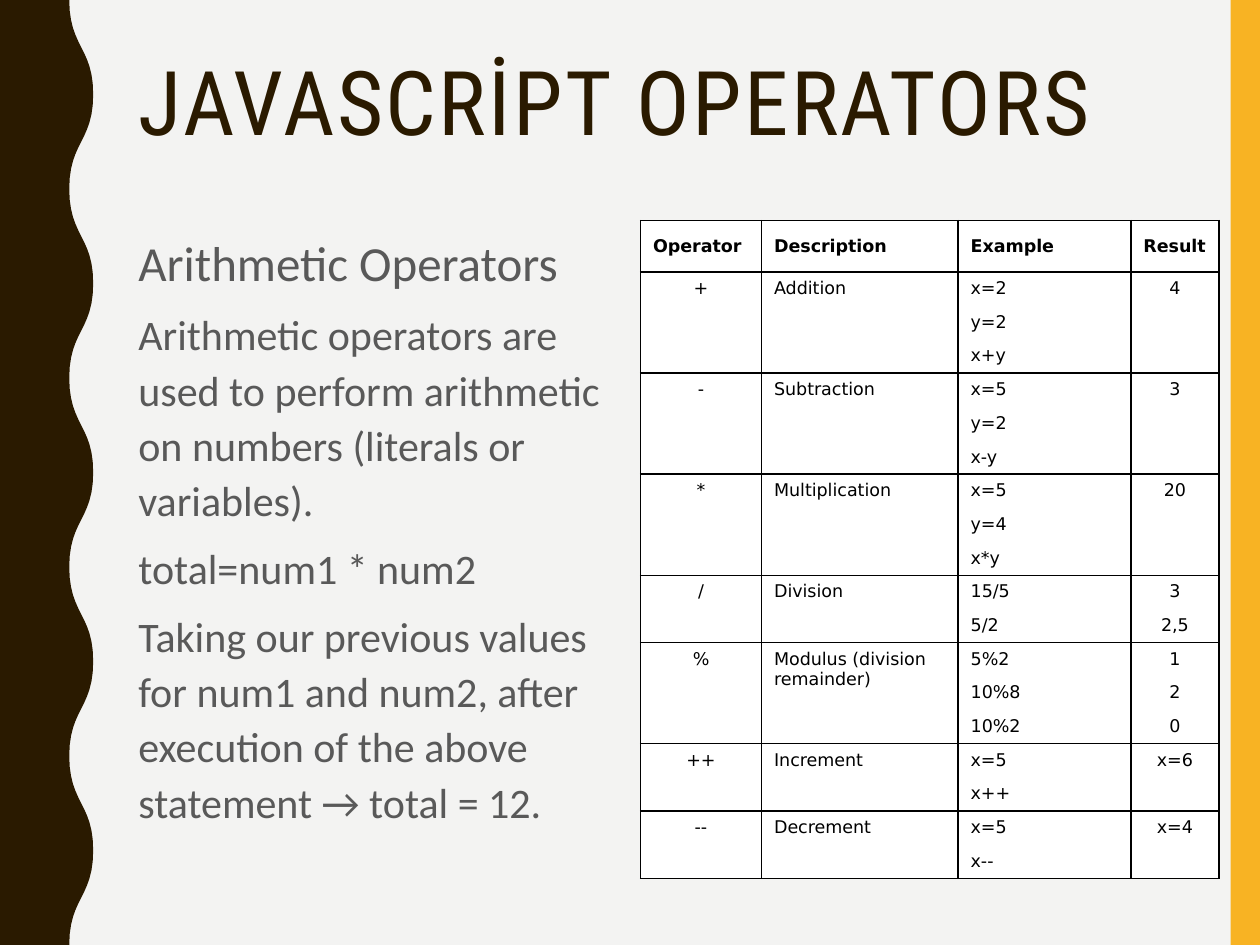
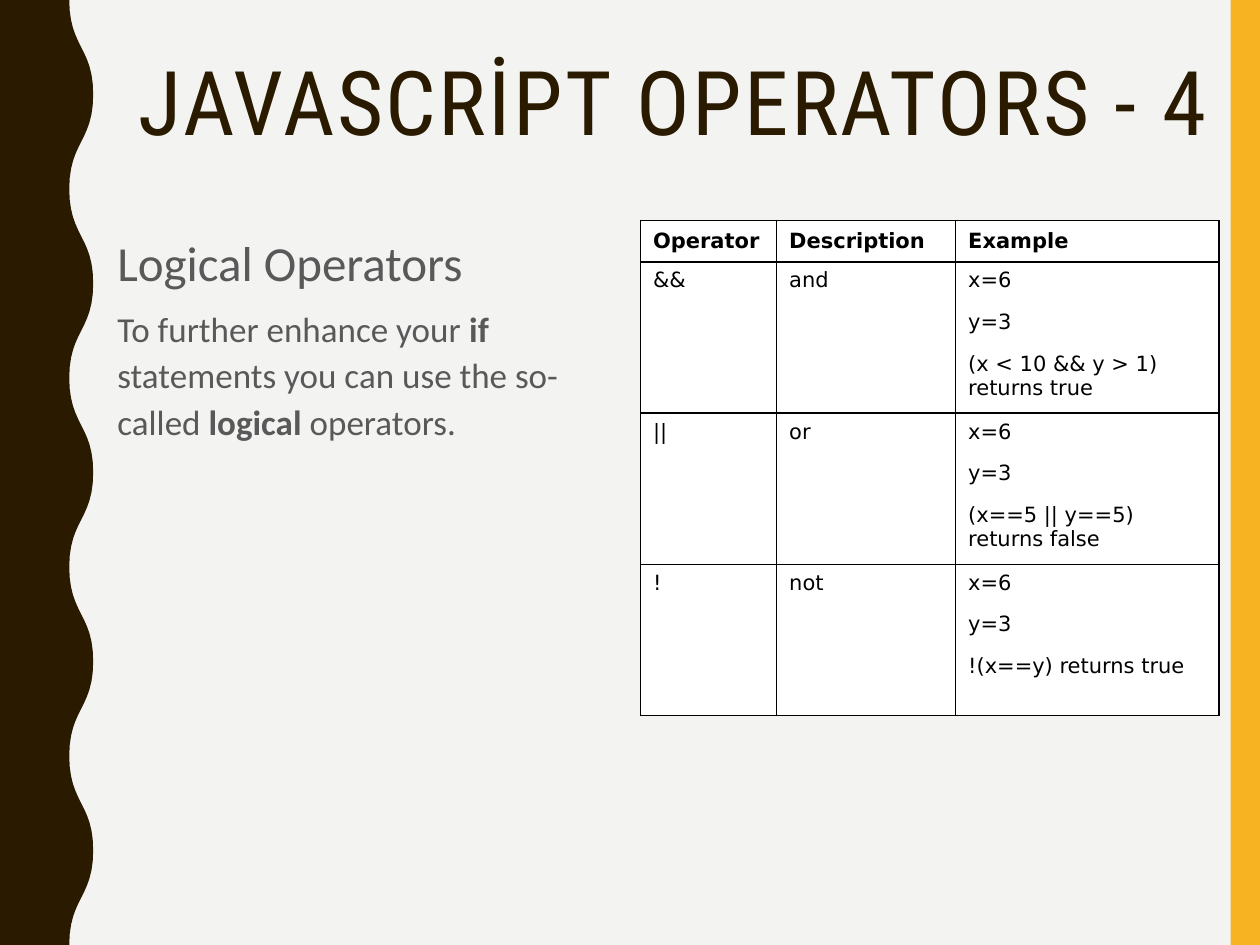
from dataclasses import dataclass
from itertools import cycle, islice

from lxml.etree import SubElement
from pptx import Presentation
from pptx.dml.color import RGBColor
from pptx.enum.lang import MSO_LANGUAGE_ID
from pptx.enum.shapes import MSO_SHAPE
from pptx.enum.text import MSO_ANCHOR, MSO_AUTO_SIZE, PP_ALIGN
from pptx.oxml.ns import qn
from pptx.util import Inches, Pt

PAPER = RGBColor(0xF3, 0xF3, 0xF2)
BROWN = RGBColor(0x2A, 0x1A, 0x00)
AMBER = RGBColor(0xF8, 0xB3, 0x23)
GREY = RGBColor(0x59, 0x59, 0x59)
BLACK = RGBColor(0x00, 0x00, 0x00)
WHITE = RGBColor(0xFF, 0xFF, 0xFF)

TITLE_FONT, BODY_FONT, TABLE_FONT = "Roboto Condensed", "Calibri", "DejaVu Sans"

WIDTH, HEIGHT = Inches(10), Inches(7.5)
UNIT = WIDTH // 120  # the grid has 120 columns and 90 rows
CONTENT_TOP, CONTENT_ROWS, BODY_RIGHT = 21, 59, 59
TABLE_LEFT, TABLE_COLUMNS = 61, 55.1
BAND_LEFT = 117.2
WAVE_COUNT, WAVE_STEPS = 10, 12
WAVE_INNER, WAVE_OUTER = Inches(0.55), Inches(0.74)


@dataclass
class Span:
    """A stretch of text in one weight."""
    text: str
    bold: bool = False


@dataclass
class Para:
    """A body paragraph with its size in points."""
    size: int
    spans: list[Span]


@dataclass
class Group:
    """Table rows that belong together: the lines of each column."""
    columns: list[list[str]]

    @property
    def depth(self) -> int:
        """Number of rows that the group takes."""
        return max(len(lines) for lines in self.columns)


@dataclass
class Grid:
    """A table of operators; row heights are in inches and repeat."""
    headings: list[str]
    weights: list[int]
    header_height: float
    row_heights: list[float]
    size: int
    centred: set[int]
    groups: list[Group]


@dataclass
class Topic:
    """The content of one slide."""
    title: str
    body_left: int
    body: list[Para]
    grid: Grid


def add_bands(page) -> None:
    """Draw the amber band on the right and the wavy one on the left."""
    left = int(BAND_LEFT * UNIT)
    amber = page.shapes.add_shape(MSO_SHAPE.RECTANGLE, left, 0, WIDTH - left, HEIGHT)
    half_wave = HEIGHT / WAVE_COUNT
    edge = []
    for wave in range(WAVE_COUNT):
        for step in range(1, WAVE_STEPS + 1):
            t = step / WAVE_STEPS
            swing = 3 * t**2 - 2 * t**3
            x = swing if wave % 2 == 0 else 1 - swing
            y = 1.5 * t * (1 - t) + t**3
            edge.append((WAVE_INNER + x * (WAVE_OUTER - WAVE_INNER), (wave + y) * half_wave))
    builder = page.shapes.build_freeform(0, 0)
    builder.add_line_segments([(WAVE_INNER, 0), *edge, (0, HEIGHT)], close=True)
    for band, colour in ((amber, AMBER), (builder.convert_to_shape(), BROWN)):
        band.shadow.inherit = False
        band.fill.solid()
        band.fill.fore_color.rgb = colour
        band.line.fill.background()


def style_paragraph(para, font_name: str, size: int, colour: RGBColor, bold: bool = False) -> None:
    """Set the font that all runs of a paragraph share."""
    para.font.name = font_name
    para.font.size = Pt(size)
    para.font.color.rgb = colour
    para.font.bold = bold


def set_title(page, text: str) -> None:
    """Place and format the title, in spaced Turkish capitals."""
    box = page.shapes.title
    box.left, box.top, box.width, box.height = 12 * UNIT, 5 * UNIT, 112 * UNIT, 15 * UNIT
    frame = box.text_frame
    frame.text = text
    frame.auto_size = MSO_AUTO_SIZE.NONE
    frame.vertical_anchor = MSO_ANCHOR.TOP
    para = frame.paragraphs[0]
    para.alignment = PP_ALIGN.LEFT
    para.line_spacing = 0.9
    style_paragraph(para, TITLE_FONT, 51, BROWN)
    run = para.runs[0]
    run.font.language_id = MSO_LANGUAGE_ID.TURKISH
    properties = run._r.get_or_add_rPr()
    properties.set("cap", "all")
    properties.set("spc", "150")


def add_body(page, left: int, body: list[Para]) -> None:
    """Add the explanation to the left of the table."""
    box = page.shapes.add_textbox(left * UNIT, CONTENT_TOP * UNIT,
                                  (BODY_RIGHT - left) * UNIT, CONTENT_ROWS * UNIT)
    frame = box.text_frame
    frame.word_wrap = True
    for index, item in enumerate(body):
        para = frame.paragraphs[0] if index == 0 else frame.add_paragraph()
        para.line_spacing = 1.1
        para.space_before = Pt(7)
        style_paragraph(para, BODY_FONT, item.size, GREY)
        for span in item.spans:
            run = para.add_run()
            run.text = span.text
            if span.bold:
                run.font.bold = True


def style_cell(cell, top: bool, bottom: bool) -> None:
    """Fill a cell white and rule its sides, and its top and bottom if asked."""
    properties = cell._tc.get_or_add_tcPr()
    for tag, ruled in (("a:lnL", True), ("a:lnR", True), ("a:lnT", top), ("a:lnB", bottom)):
        line = SubElement(properties, qn(tag), w=str(Pt(1)))
        if ruled:
            fill = SubElement(line, qn("a:solidFill"))
            SubElement(fill, qn("a:srgbClr"), val=str(BLACK))
        else:
            SubElement(line, qn("a:noFill"))
    cell.fill.solid()
    cell.fill.fore_color.rgb = WHITE


def add_grid(page, grid: Grid) -> None:
    """Add the table, merging each cell that serves a whole group."""
    groups = [Group([[heading] for heading in grid.headings]), *grid.groups]
    row_count = sum(group.depth for group in groups)
    heights = [grid.header_height, *islice(cycle(grid.row_heights), row_count - 1)]
    width = int(TABLE_COLUMNS * UNIT)
    table = page.shapes.add_table(row_count, len(grid.weights), TABLE_LEFT * UNIT,
                                  CONTENT_TOP * UNIT, width, Inches(sum(heights))).table
    table.first_row = table.horz_banding = False
    for column, weight in zip(table.columns, grid.weights):
        column.width = width * weight // sum(grid.weights)
    for row, height in zip(table.rows, heights):
        row.height = Inches(height)

    start = 0
    for group in groups:
        last = group.depth - 1
        for column, lines in enumerate(group.columns):
            merged = len(lines) < group.depth
            for offset in range(group.depth):
                cell = table.cell(start + offset, column)
                style_cell(cell, merged or offset == 0, merged or offset == last)
                para = cell.text_frame.paragraphs[0]
                style_paragraph(para, TABLE_FONT, grid.size, BLACK, bold=start == 0)
                if offset < len(lines):
                    para.add_run().text = lines[offset]
                if start == 0:
                    cell.vertical_anchor = MSO_ANCHOR.MIDDLE
                elif column in grid.centred:
                    para.alignment = PP_ALIGN.CENTER
            if merged:
                table.cell(start, column).merge(table.cell(start + last, column))
        start += group.depth


def add_topic(deck, topic: Topic) -> None:
    """Add one slide."""
    page = deck.slides.add_slide(deck.slide_layouts.get_by_name("Title Only"))
    add_bands(page)
    set_title(page, topic.title)
    add_body(page, topic.body_left, topic.body)
    add_grid(page, topic.grid)


ARITHMETIC = Topic(
    "JavaScript Operators", 12,
    [
        Para(28, [Span("Arithmetic Operators")]),
        Para(24, [Span("Arithmetic operators are used to perform arithmetic on numbers "
                       "(literals or variables).")]),
        Para(24, [Span("total=num1 * num2")]),
        Para(24, [Span("Taking our previous values for num1 and num2, after execution of "
                       "the above statement → total = 12.")]),
    ],
    Grid(
        ["Operator", "Description", "Example", "Result"], [96, 156, 137, 70],
        0.41, [4.8 / 18], 10, {0, 3},
        [
            Group([["+"], ["Addition"], ["x=2", "y=2", "x+y"], ["4"]]),
            Group([["-"], ["Subtraction"], ["x=5", "y=2", "x-y"], ["3"]]),
            Group([["*"], ["Multiplication"], ["x=5", "y=4", "x*y"], ["20"]]),
            Group([["/"], ["Division"], ["15/5", "5/2"], ["3", "2,5"]]),
            Group([["%"], ["Modulus (division remainder)"],
                   ["5%2", "10%8", "10%2"], ["1", "2", "0"]]),
            Group([["++"], ["Increment"], ["x=5", "x++"], ["x=6"]]),
            Group([["--"], ["Decrement"], ["x=5", "x--"], ["x=4"]]),
        ],
    ),
)

LOGICAL = Topic(
    "JavaScript Operators - 4", 10,
    [
        Para(28, [Span("Logical Operators")]),
        Para(20, [Span("To further enhance your "), Span("if", True),
                  Span(" statements you can use the so-called\u00a0"),
                  Span("logical\u00a0", True), Span("operators.")]),
    ],
    Grid(
        ["Operator", "Description", "Example"], [108, 142, 209],
        0.33, [0.33, 0.33, 0.54], 12, set(),
        [
            Group([["&&"], ["and"], ["x=6", "y=3", "(x < 10 && y > 1) returns true"]]),
            Group([["||"], ["or"], ["x=6", "y=3", "(x==5 || y==5) returns false"]]),
            Group([["!"], ["not"], ["x=6", "y=3", "!(x==y) returns true"]]),
        ],
    ),
)


def main() -> None:
    """Build the deck and save it."""
    deck = Presentation()
    deck.slide_width, deck.slide_height = WIDTH, HEIGHT
    background = deck.slide_master.background.fill
    background.solid()
    background.fore_color.rgb = PAPER
    for topic in (ARITHMETIC, LOGICAL):
        add_topic(deck, topic)
    deck.save("out.pptx")


main()
